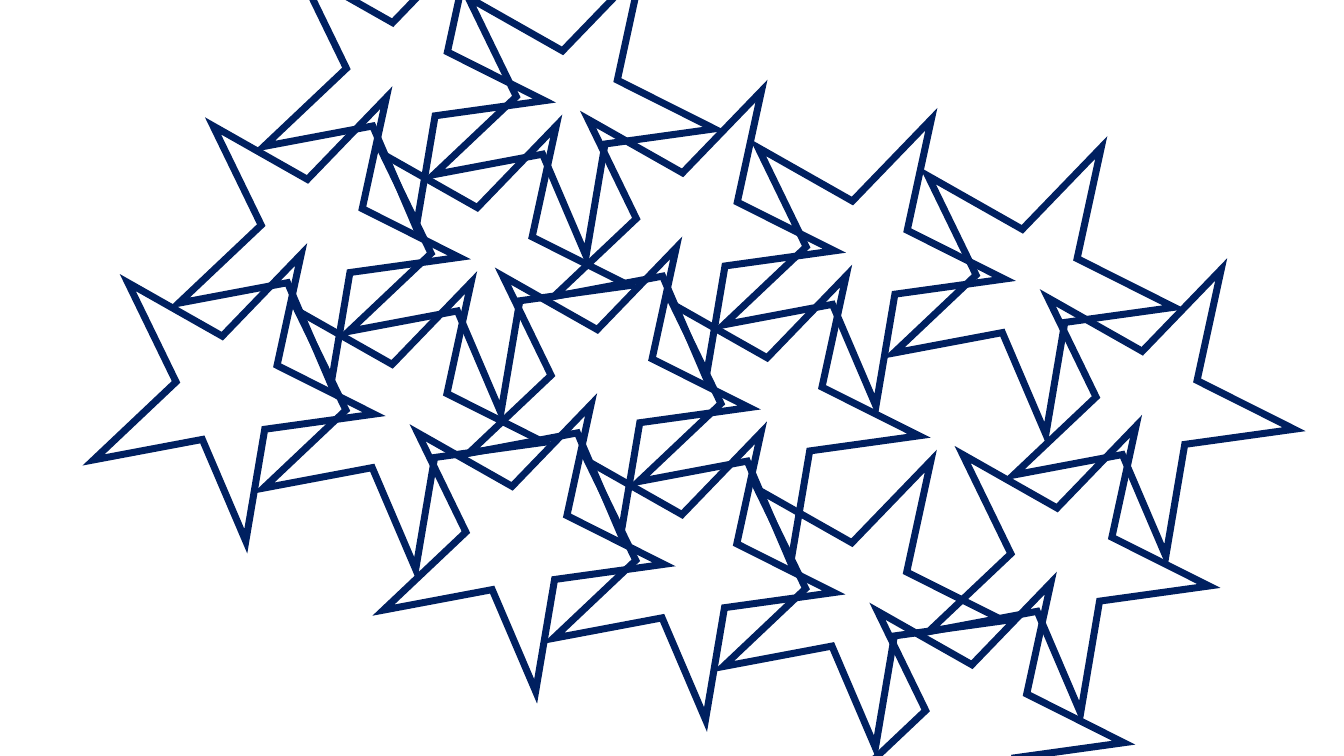
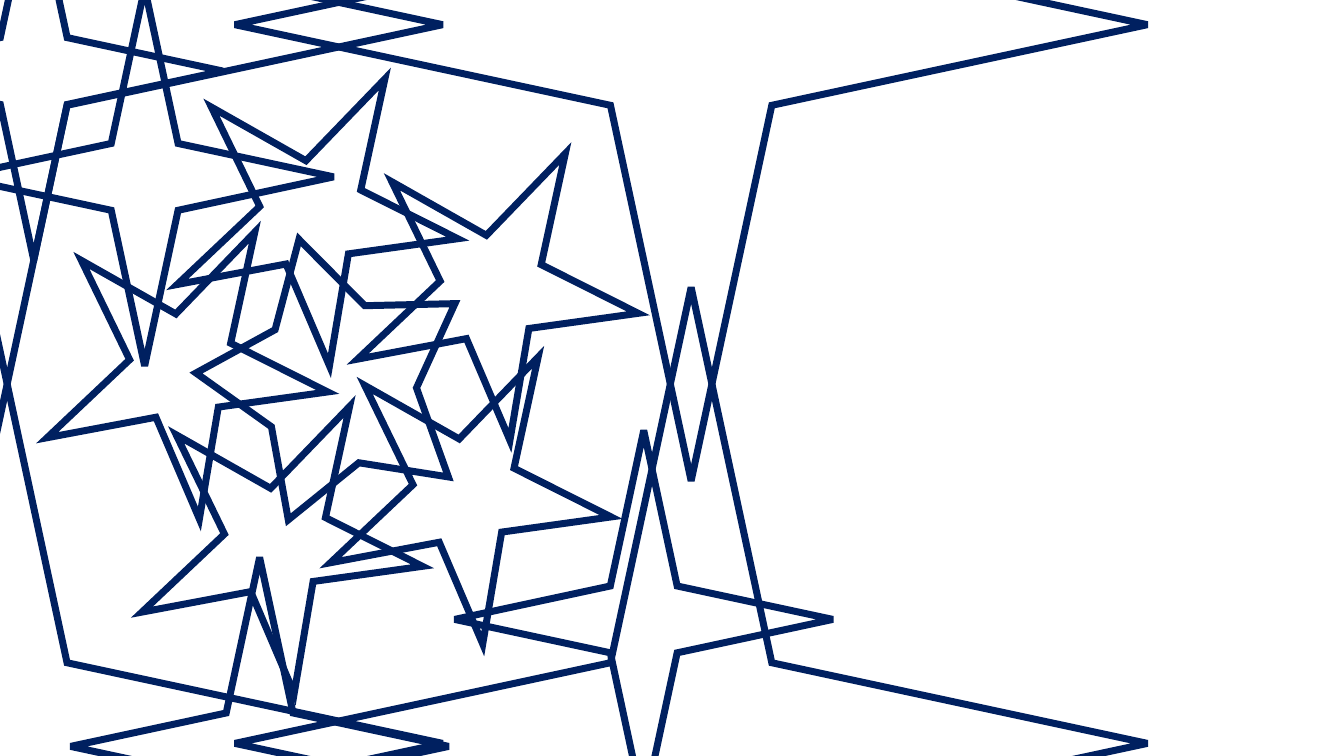
import lxml.etree
import pptx
import pptx.dml.color
import pptx.enum.shapes
import pptx.oxml.ns
import pptx.util

NAVY = pptx.dml.color.RGBColor(0x00, 0x20, 0x60)
SHAPE = pptx.enum.shapes.MSO_SHAPE

# Slide grid: 30 rows of square cells
SLIDE_WIDTH = pptx.util.Inches(13.33)
SLIDE_HEIGHT = pptx.util.Inches(7.5)
CELL = SLIDE_HEIGHT / 30

LINE_WIDTH = pptx.util.Pt(5)
TILT = 28.1
SLIM_POINTS = 0.18
BROAD_POINTS = 0.28

# Sizes in cells
STAR = 11.08
MIDDLE_STAR = 10.64
LARGE_SPARKLE = 36.2
SMALL_SPARKLE = 15

# Lattice steps in cells
ALONG = (6.74, 1.12)
DOWN = (-3.38, 6.22)
NEXT_CLUSTER = (4.76, 4.84)


def add_outline(page, kind, left, top, size, rotation=0, depth=None):
    """Draw one unfilled star in a square box measured in cells."""
    star = page.shapes.add_shape(
        kind, *(round(length * CELL) for length in (left, top, size, size)))
    star.shadow.inherit = False
    star.fill.background()
    star.line.color.rgb = NAVY
    star.line.width = LINE_WIDTH
    # Sharp corners
    miter = lxml.etree.SubElement(
        star.line._get_or_add_ln(), pptx.oxml.ns.qn("a:miter"))
    miter.set("lim", "800000")
    star.rotation = rotation
    if depth is not None:
        star.adjustments[0] = depth


def add_tilted_star(page, left, top):
    add_outline(page, SHAPE.STAR_5_POINT, left, top, STAR, TILT, SLIM_POINTS)


def add_cluster(page, left, top, row_counts):
    """Draw slanted rows of stars, starting at the given corner."""
    for row, count in enumerate(row_counts):
        for column in range(count):
            add_tilted_star(page,
                            left + column * ALONG[0] + row * DOWN[0],
                            top + column * ALONG[1] + row * DOWN[1])


def add_lattice(page, left, top, clusters):
    """Draw clusters, each one set off from the end of the previous first row."""
    for row_counts in clusters:
        add_cluster(page, left, top, row_counts)
        steps = row_counts[0] - 1
        left += steps * ALONG[0] + NEXT_CLUSTER[0]
        top += steps * ALONG[1] + NEXT_CLUSTER[1]


def add_ring(page, left, top):
    """Draw a broad star with five slim stars around it."""
    add_outline(page, SHAPE.STAR_5_POINT, left + 5.96, top + 6.84,
                MIDDLE_STAR, -15, BROAD_POINTS)
    for across, down in ((5.16, 0), (12.32, 2.96), (11.24, 11.04),
                         (3.76, 13), (0, 6.08)):
        add_tilted_star(page, left + across, top + down)


def add_sparkle_frame(page, left, top):
    """Draw a two by two grid of large sparkles."""
    for column in range(2):
        for row in range(2):
            add_outline(page, SHAPE.STAR_4_POINT, left + column * 27.96,
                        top + row * 28.52, LARGE_SPARKLE)


def add_small_sparkles(page, left, top):
    for across, down in ((0, 0), (4.4, 4.2), (8.96, 26.8), (24.2, 21.76)):
        add_outline(page, SHAPE.STAR_4_POINT, left + across, top + down,
                    SMALL_SPARKLE)


def main():
    deck = pptx.Presentation()
    deck.slide_width = SLIDE_WIDTH
    deck.slide_height = SLIDE_HEIGHT
    blank = deck.slide_layouts[6]

    # Star lattice
    lattice_page = deck.slides.add_slide(blank)
    add_lattice(lattice_page, 10.56, -3, ((2, 2, 2), (3, 2, 3), (1, 1, 1)))

    # Star ring framed by sparkles
    ring_page = deck.slides.add_slide(blank)
    add_ring(ring_page, 1.96, 2.48)
    add_sparkle_frame(ring_page, -18.64, -17.12)
    add_small_sparkles(ring_page, -6.16, -4.68)

    deck.save("out.pptx")


if __name__ == "__main__":
    main()
